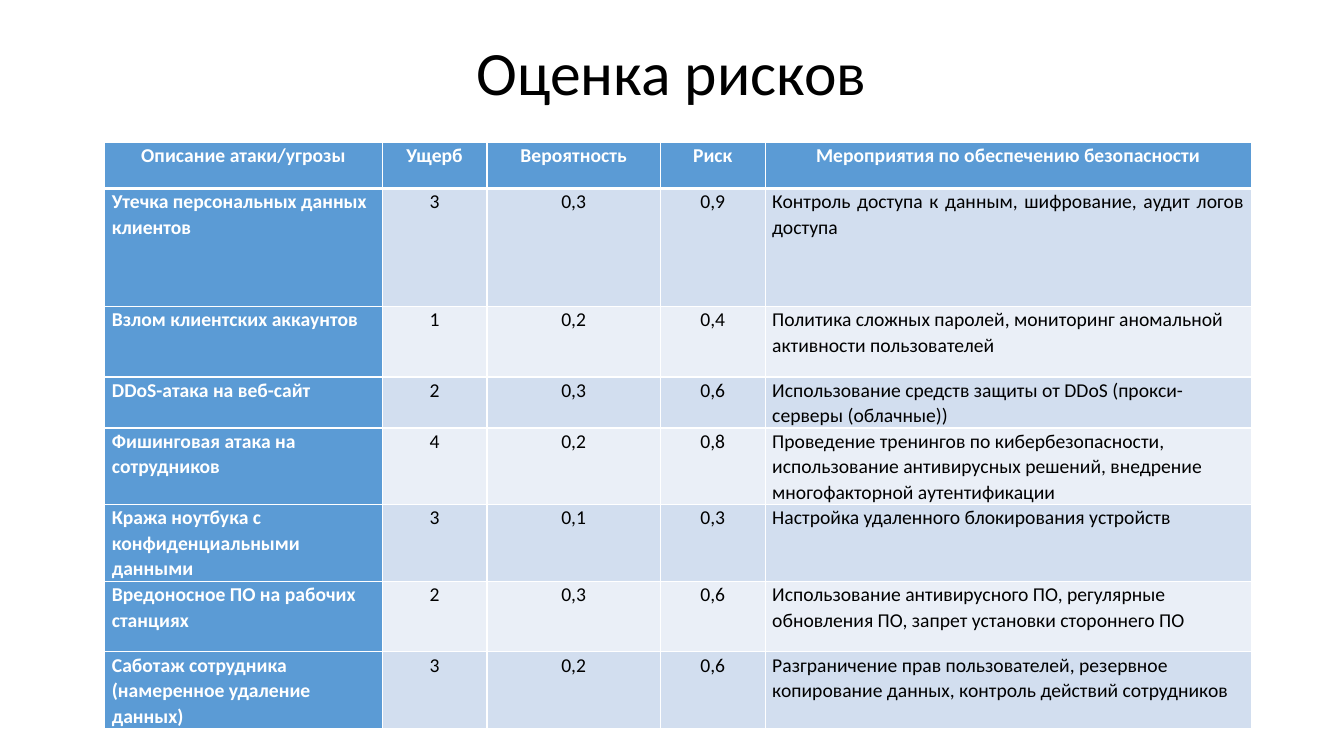
from dataclasses import dataclass

from lxml import etree
from pptx import Presentation
from pptx.dml.color import RGBColor
from pptx.enum.text import MSO_ANCHOR, PP_ALIGN
from pptx.oxml.ns import qn
from pptx.util import Inches, Pt

TITLE = "Оценка рисков"
HEADERS = ["Описание атаки/угрозы", "Ущерб", "Вероятность", "Риск",
           "Мероприятия по обеспечению безопасности"]
RISKS = [
    ("Утечка персональных данных клиентов", "3", "0,3", "0,9",
     "Контроль доступа к данным, шифрование, аудит логов доступа"),
    ("Взлом клиентских аккаунтов", "1", "0,2", "0,4",
     "Политика сложных паролей, мониторинг аномальной активности пользователей"),
    ("DDoS-атака на веб-сайт", "2", "0,3", "0,6",
     "Использование средств защиты от DDoS (прокси-серверы (облачные))"),
    ("Фишинговая атака на сотрудников", "4", "0,2", "0,8",
     "Проведение тренингов по кибербезопасности, использование антивирусных решений, "
     "внедрение многофакторной аутентификации"),
    ("Кража ноутбука с конфиденциальными данными", "3", "0,1", "0,3",
     "Настройка удаленного блокирования устройств"),
    ("Вредоносное ПО на рабочих станциях", "2", "0,3", "0,6",
     "Использование антивирусного ПО, регулярные обновления ПО, "
     "запрет установки стороннего ПО"),
    ("Саботаж сотрудника (намеренное удаление данных)", "3", "0,2", "0,6",
     "Разграничение прав пользователей, резервное копирование данных, "
     "контроль действий сотрудников"),
]
COLUMN_WIDTHS = [2.75, 1.04, 1.72, 1.04, 4.82]
ROW_HEIGHTS = [0.46, 1.17, 0.7, 0.46, 0.7, 0.7, 0.7, 0.7]
MEASURES = len(HEADERS) - 1


@dataclass(frozen=True)
class Theme:
    font: str = "Calibri"
    title_size: int = 44
    cell_size: int = 14
    ink: str = "000000"
    white: str = "FFFFFF"
    accent: str = "5B9BD5"
    bands: tuple = ("EAEFF7", "D2DEEF")
    rule: int = 1
    header_rule: int = 3


THEME = Theme()


def write(para, words, size, color, bold=False):
    span = para.add_run()
    span.text = words
    span.font.name = THEME.font
    span.font.size = Pt(size)
    span.font.bold = bold
    span.font.color.rgb = RGBColor.from_string(color)


def add_borders(cell, row):
    """Draw white cell rules, with a thicker one below the header row."""
    widths = {"L": THEME.rule, "R": THEME.rule,
              "T": THEME.header_rule if row == 1 else THEME.rule,
              "B": THEME.header_rule if row == 0 else THEME.rule}
    properties = cell._tc.get_or_add_tcPr()
    for side, width in widths.items():
        line = etree.SubElement(properties, qn(f"a:ln{side}"), w=str(Pt(width)))
        fill = etree.SubElement(line, qn("a:solidFill"))
        etree.SubElement(fill, qn("a:srgbClr"), val=THEME.white)


def alignment(row, column):
    if row == 0 or 0 < column < MEASURES:
        return PP_ALIGN.CENTER
    if row == 1 and column == MEASURES:
        return PP_ALIGN.JUSTIFY
    return PP_ALIGN.LEFT


def fill_cell(cell, row, column, words):
    heading = row == 0 or column == 0
    add_borders(cell, row)
    cell.fill.solid()
    cell.fill.fore_color.rgb = RGBColor.from_string(
        THEME.accent if heading else THEME.bands[row % 2])
    cell.margin_left = cell.margin_right = Inches(0.07)
    cell.margin_top = cell.margin_bottom = 0
    para = cell.text_frame.paragraphs[0]
    para.alignment = alignment(row, column)
    para.line_spacing = 1.07
    para.space_after = Pt(6 if row == 0 else 0)
    write(para, words, THEME.cell_size, THEME.white if heading else THEME.ink, heading)


def add_title(page):
    title = page.shapes.title
    title.left, title.top = Inches(0.91), Inches(0.24)
    title.width, title.height = Inches(11.5), Inches(1.01)
    title.text_frame.vertical_anchor = MSO_ANCHOR.MIDDLE
    para = title.text_frame.paragraphs[0]
    para.alignment = PP_ALIGN.CENTER
    para.line_spacing = 0.9
    write(para, TITLE, THEME.title_size, THEME.ink)


def add_risk_table(page):
    rows = [HEADERS, *RISKS]
    table = page.shapes.add_table(
        len(rows), len(HEADERS), Inches(1.04), Inches(1.41),
        Inches(sum(COLUMN_WIDTHS)), Inches(sum(ROW_HEIGHTS))).table
    table.first_col = True
    for column, width in zip(table.columns, COLUMN_WIDTHS):
        column.width = Inches(width)
    for row, height in zip(table.rows, ROW_HEIGHTS):
        row.height = Inches(height)
    for r, row in enumerate(rows):
        for c, words in enumerate(row):
            fill_cell(table.cell(r, c), r, c, words)


def main():
    deck = Presentation()
    deck.slide_width, deck.slide_height = Inches(13.33), Inches(7.5)
    page = deck.slides.add_slide(deck.slide_layouts.get_by_name("Title Only"))
    add_title(page)
    add_risk_table(page)
    deck.save("out.pptx")


if __name__ == "__main__":
    main()
